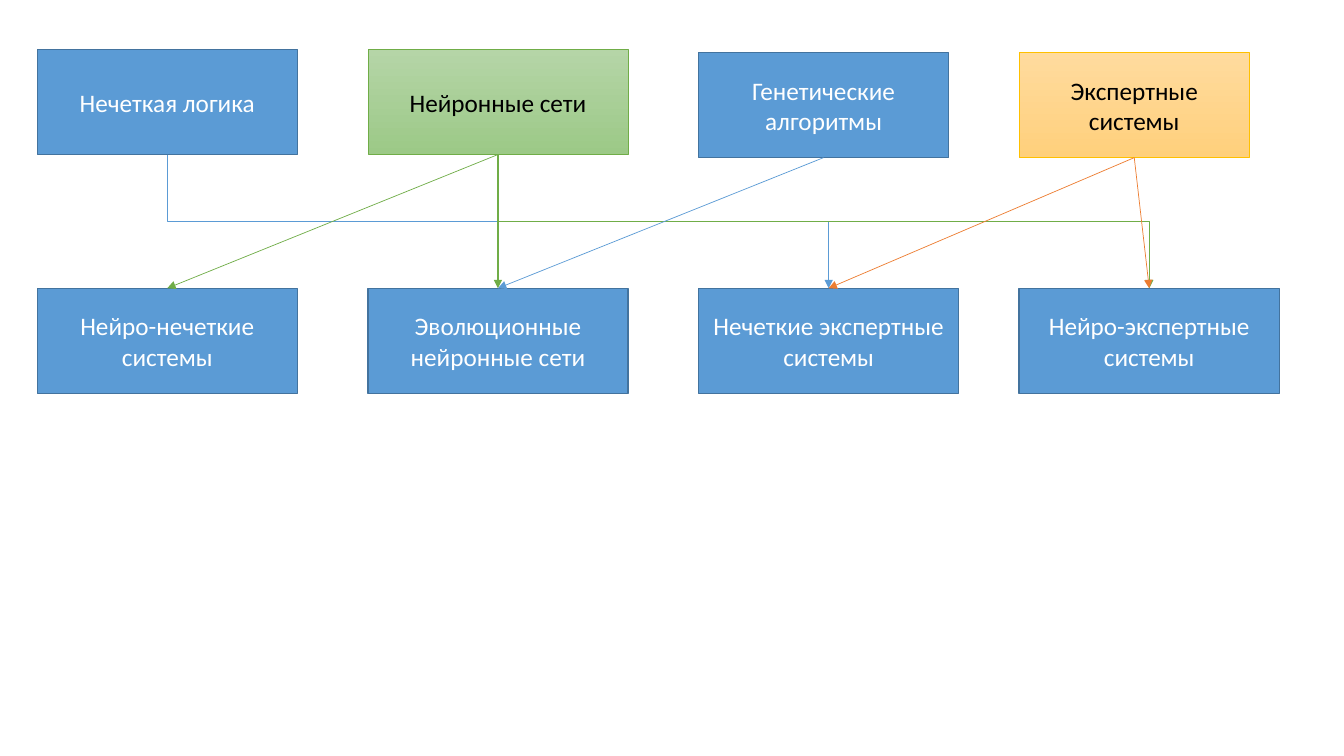
from dataclasses import dataclass

from lxml import etree
from pptx import Presentation
from pptx.dml.color import RGBColor
from pptx.enum.shapes import MSO_CONNECTOR, MSO_SHAPE
from pptx.enum.text import MSO_ANCHOR, PP_ALIGN
from pptx.oxml.ns import qn
from pptx.util import Pt

RECT = MSO_SHAPE.RECTANGLE
STRAIGHT, ELBOW = MSO_CONNECTOR.STRAIGHT, MSO_CONNECTOR.ELBOW
MIDDLE, CENTER = MSO_ANCHOR.MIDDLE, PP_ALIGN.CENTER
BOTTOM_SITE, TOP_SITE = 2, 0


@dataclass(frozen=True)
class Theme:
    """Colours, font and sizes of the slide."""
    font: str = "Calibri"
    size: float = 18
    blue: str = "5B9BD5"
    green: str = "70AD47"
    orange: str = "ED7D31"
    plain: tuple = (("5B9BD5",), "43739E", 1, "FFFFFF")
    soft_green: tuple = (("B5D5A7", "9CC987"), "70AD47", 0.5, "000000")
    soft_gold: tuple = (("FFDB9E", "FFD07C"), "FFC000", 0.5, "000000")


T = Theme()
BOX_W, BOX_H = 185.8, 75.1
COLUMNS = (26.6, 262.8, 499, 728)
METHODS = (
    ("Нечеткая логика", 35.3, BOX_W, T.plain),
    ("Нейронные сети", 35.3, BOX_W, T.soft_green),
    ("Генетические алгоритмы", 37.5, 178.6, T.plain),
    ("Экспертные системы", 37.5, 164.4, T.soft_gold),
)
HYBRIDS = tuple((text, 205.9, BOX_W, T.plain) for text in (
    "Нейро-нечеткие системы",
    "Эволюционные нейронные сети",
    "Нечеткие экспертные системы",
    "Нейро-экспертные системы",
))
LINKS = (
    (0, 2, ELBOW, T.blue, 0.5),
    (1, 3, ELBOW, T.green, 0.5),
    (1, 0, STRAIGHT, T.green, 0.5),
    (1, 1, STRAIGHT, T.green, 1),
    (2, 1, STRAIGHT, T.blue, 0.5),
    (3, 2, STRAIGHT, T.orange, 0.5),
    (3, 3, STRAIGHT, T.orange, 0.5),
)


def add_text(tf, text, color, size=T.size, font=T.font, align=CENTER):
    """Write one formatted paragraph into a text frame."""
    tf.word_wrap = True
    tf.vertical_anchor = MIDDLE
    p = tf.paragraphs[0]
    p.alignment = align
    r = p.add_run()
    r.text = text
    r.font.name, r.font.size = font, Pt(size)
    r.font.color.rgb = RGBColor.from_string(color)


def paint(fill, colors):
    """Fill with one colour, or with a gradient running downwards."""
    if len(colors) == 1:
        fill.solid()
        fill.fore_color.rgb = RGBColor.from_string(colors[0])
        return
    fill.gradient()
    fill.gradient_angle = 270
    for stop, color in zip(fill.gradient_stops, colors):
        stop.color.rgb = RGBColor.from_string(color)


def add_box(s, left, top, width, text, style):
    """Draw a labelled rectangle and return it."""
    colors, line, line_width, text_color = style
    sp = s.shapes.add_shape(RECT, Pt(left), Pt(top), Pt(width), Pt(BOX_H))
    sp.shadow.inherit = False
    paint(sp.fill, colors)
    sp.line.color.rgb = RGBColor.from_string(line)
    sp.line.width = Pt(line_width)
    add_text(sp.text_frame, text, text_color)
    return sp


def add_row(s, boxes):
    """Place one box on each column and return the boxes."""
    return [add_box(s, left, top, width, text, style)
            for left, (text, top, width, style) in zip(COLUMNS, boxes)]


def turn_elbow(c):
    """Turn an elbow so that it leaves and arrives vertically."""
    dx, dy = c.width, c.height
    c.left, c.top = c.left + (dx - dy) // 2, c.top + (dy - dx) // 2
    c.width, c.height = dy, dx
    xfrm = c._element.spPr.find(qn("a:xfrm"))
    xfrm.set("rot", "16200000")
    xfrm.set("flipH", "1")


def add_arrow(s, source, target, kind, color, width):
    """Connect the bottom of one box to the top of another."""
    c = s.shapes.add_connector(kind, 0, 0, 0, 0)
    c.begin_connect(source, BOTTOM_SITE)
    c.end_connect(target, TOP_SITE)
    if kind == ELBOW:
        turn_elbow(c)
    c.line.color.rgb = RGBColor.from_string(color)
    c.line.width = Pt(width)
    etree.SubElement(c.line._get_or_add_ln(), qn("a:tailEnd"), type="triangle")
    etree.SubElement(c._element.spPr, qn("a:effectLst"))


def main():
    """Build the slide and save it."""
    prs = Presentation()
    prs.slide_width, prs.slide_height = Pt(960), Pt(540)
    s = prs.slides.add_slide(prs.slide_layouts[6])
    methods = add_row(s, METHODS)
    hybrids = add_row(s, HYBRIDS)
    for source, target, kind, color, width in LINKS:
        add_arrow(s, methods[source], hybrids[target], kind, color, width)
    prs.save("out.pptx")


if __name__ == "__main__":
    main()
